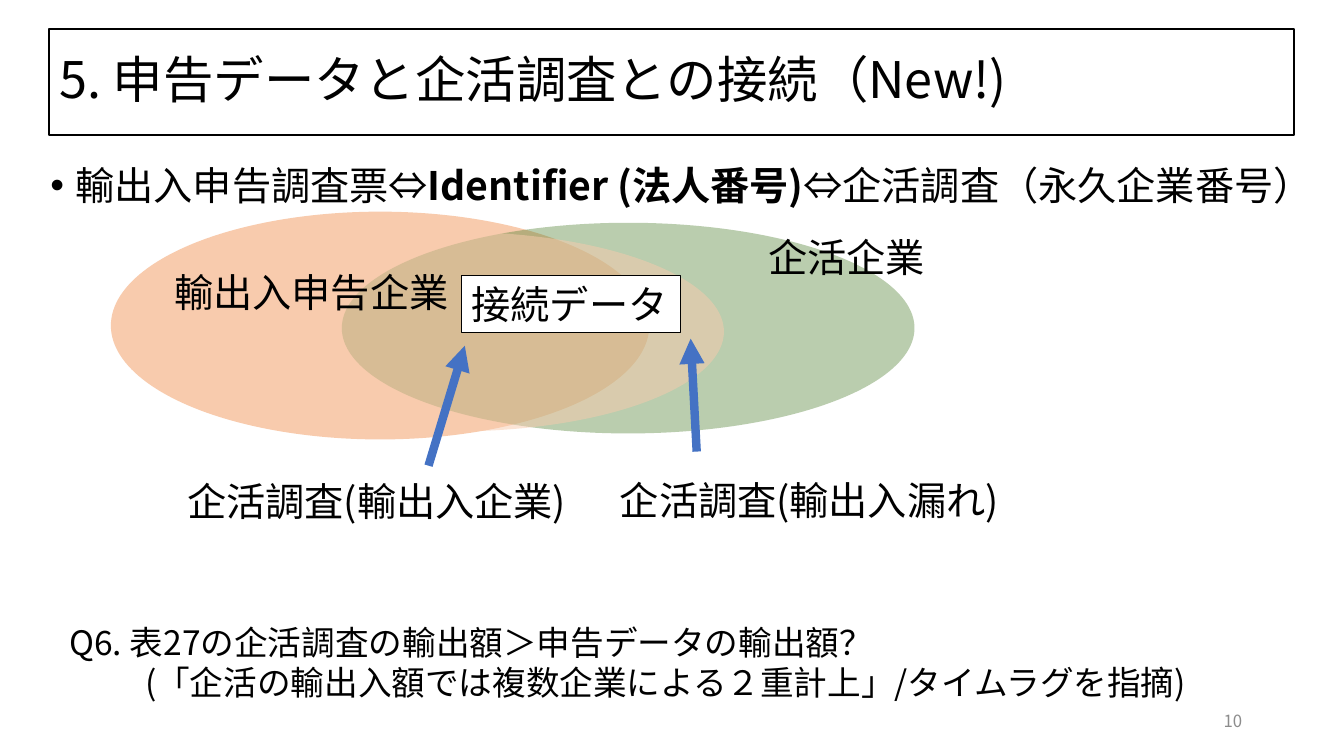
from dataclasses import dataclass

from lxml import etree
from pptx import Presentation
from pptx.dml.color import RGBColor
from pptx.enum.shapes import MSO_CONNECTOR, MSO_SHAPE
from pptx.enum.text import MSO_ANCHOR, MSO_AUTO_SIZE, PP_ALIGN
from pptx.oxml.ns import qn
from pptx.util import Pt

OVAL, STRAIGHT = MSO_SHAPE.OVAL, MSO_CONNECTOR.STRAIGHT
TOP, MIDDLE = MSO_ANCHOR.TOP, MSO_ANCHOR.MIDDLE
LEFT, RIGHT = PP_ALIGN.LEFT, PP_ALIGN.RIGHT
NO_AUTOFIT, GROW = MSO_AUTO_SIZE.NONE, MSO_AUTO_SIZE.SHAPE_TO_FIT_TEXT

EMU_PER_PX = 9144  # 100 px to the inch
TITLE_ONLY = 5
FONT = "Noto Sans CJK JP"
BLACK, WHITE, GREY = "000000", "FFFFFF", "8C8C8C"
PEACH, GREEN, BLUE = "F8CBAD", "548235", "4472C4"

Box = tuple[int, int, int, int]
Point = tuple[int, int]


@dataclass
class Ellipse:
    box: Box
    color: str
    opacity: int


@dataclass
class Label:
    box: Box
    lines: list[str]
    size: int = 28
    color: str = BLACK
    align: PP_ALIGN = LEFT
    anchor: MSO_ANCHOR = TOP
    framed: bool = False


@dataclass
class Arrow:
    start: Point
    end: Point


TITLE = Label((49, 29, 1234, 105), ["5. 申告データと企活調査との接続（New!)"], 36, anchor=MIDDLE)
LINKAGE_BOX = (40, 160, 1272, 388)
LINKAGE = [("輸出入申告調査票⇔", False), ("Identifier (法人番号)", True),
           ("⇔企活調査（永久企業番号）", False)]
ELLIPSES = [
    Ellipse((110, 210, 534, 226), PEACH, 100),
    Ellipse((339, 221, 568, 209), GREEN, 40),
    Ellipse((184, 230, 534, 198), PEACH, 50),
]
LABELS = [
    Label((163, 261, 295, 57), ["輸出入申告企業"]),
    Label((752, 227, 177, 57), ["企活企業"]),
    Label((458, 273, 217, 57), ["接続データ"], framed=True),
    Label((176, 469, 404, 57), ["企活調査(輸出入企業)"]),
    Label((605, 468, 404, 57), ["企活調査(輸出入漏れ)"]),
    Label((942, 695, 300, 40), ["10"], 12, GREY, RIGHT, MIDDLE),
]
ARROWS = [Arrow((425, 462), (461, 343)), Arrow((691, 448), (685, 336))]
QUESTION = Label((59, 612, 1183, 121), [
    "Q6. 表27の企活調査の輸出額＞申告データの輸出額？",
    "(「企活の輸出入額では複数企業による２重計上」/タイムラグを指摘)"], 24)


def px(*lengths: int) -> list[int]:
    return [length * EMU_PER_PX for length in lengths]


def rgb(color: str) -> RGBColor:
    return RGBColor.from_string(color)


def set_values(target, values: dict) -> None:
    for name, value in values.items():
        setattr(target, name, value)


def set_indent(paragraph, margin: int, first_line: int) -> None:
    properties = paragraph._p.get_or_add_pPr()
    properties.set("marL", str(margin * EMU_PER_PX))
    properties.set("indent", str(first_line * EMU_PER_PX))


def outline(shape, color: str, width: float) -> None:
    shape.line.color.rgb = rgb(color)
    shape.line.width = Pt(width)


def add_run(paragraph, text: str, size: int, color: str = BLACK, bold: bool = False) -> None:
    run = paragraph.add_run()
    run.text = text
    set_values(run.font, {"name": FONT, "size": Pt(size), "bold": bold})
    run.font.color.rgb = rgb(color)
    etree.SubElement(run._r.get_or_add_rPr(), qn("a:ea")).set("typeface", FONT)


def write_label(shape, label: Label, auto_size: MSO_AUTO_SIZE) -> None:
    frame = shape.text_frame
    set_values(frame, {"word_wrap": True, "auto_size": auto_size, "vertical_anchor": label.anchor})
    for index, line in enumerate(label.lines):
        paragraph = frame.add_paragraph() if index else frame.paragraphs[0]
        paragraph.alignment = label.align
        add_run(paragraph, line, label.size, label.color)


def add_title(slide) -> None:
    title = slide.shapes.title
    set_values(title, dict(zip(("left", "top", "width", "height"), px(*TITLE.box))))
    outline(title, BLACK, 1.5)
    write_label(title, TITLE, NO_AUTOFIT)
    title.text_frame.paragraphs[0].line_spacing = 0.9


def add_ellipse(slide, ellipse: Ellipse) -> None:
    shape = slide.shapes.add_shape(OVAL, *px(*ellipse.box))
    shape.shadow.inherit = False
    shape.line.fill.background()
    shape.fill.solid()
    shape.fill.fore_color.rgb = rgb(ellipse.color)
    if ellipse.opacity < 100:
        color = shape._element.spPr.find(f"{qn('a:solidFill')}/{qn('a:srgbClr')}")
        etree.SubElement(color, qn("a:alpha")).set("val", str(ellipse.opacity * 1000))


def add_linkage_bullet(slide) -> None:
    frame = slide.shapes.add_textbox(*px(*LINKAGE_BOX)).text_frame
    frame.word_wrap = True
    paragraph = frame.paragraphs[0]
    set_values(paragraph, {"line_spacing": 0.9, "space_before": Pt(10)})
    set_indent(paragraph, 25, -25)
    properties = paragraph._p.get_or_add_pPr()
    etree.SubElement(properties, qn("a:buFont")).set("typeface", "Arial")
    etree.SubElement(properties, qn("a:buChar")).set("char", "•")
    for text, bold in LINKAGE:
        add_run(paragraph, text, 28, bold=bold)


def add_label(slide, label: Label):
    textbox = slide.shapes.add_textbox(*px(*label.box))
    if label.framed:
        textbox.fill.solid()
        textbox.fill.fore_color.rgb = rgb(WHITE)
        outline(textbox, BLACK, 0.75)
    write_label(textbox, label, NO_AUTOFIT if label.anchor == MIDDLE else GROW)
    return textbox


def add_arrow(slide, arrow: Arrow) -> None:
    connector = slide.shapes.add_connector(STRAIGHT, *px(*arrow.start, *arrow.end))
    outline(connector, BLUE, 6)
    etree.SubElement(connector.line._get_or_add_ln(), qn("a:tailEnd")).set("type", "triangle")
    etree.SubElement(connector._element.spPr, qn("a:effectLst"))


def main() -> None:
    presentation = Presentation()
    set_values(presentation, dict(zip(("slide_width", "slide_height"), px(1333, 750))))
    slide = presentation.slides.add_slide(presentation.slide_layouts[TITLE_ONLY])

    # Title and overlapping groups of firms
    add_title(slide)
    for ellipse in ELLIPSES:
        add_ellipse(slide, ellipse)

    # Bullet, labels and arrows
    add_linkage_bullet(slide)
    for label in LABELS:
        add_label(slide, label)
    for arrow in ARROWS:
        add_arrow(slide, arrow)

    # Question with its indented remark
    question = add_label(slide, QUESTION)
    set_indent(question.text_frame.paragraphs[1], 75, 0)

    presentation.save("out.pptx")


if __name__ == "__main__":
    main()
